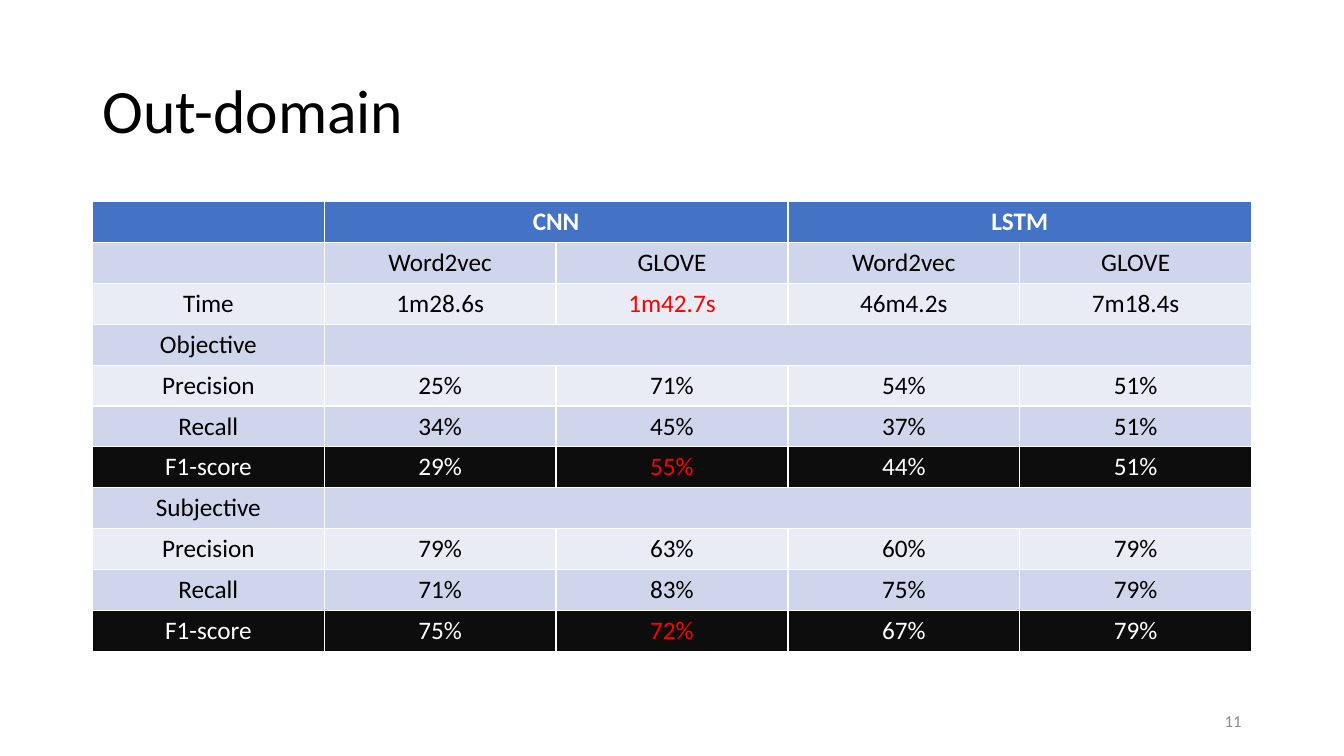
"""Build the out-domain results slide: CNN and LSTM scores by word embedding."""
from pptx import Presentation
from pptx.dml.color import RGBColor
from pptx.enum.text import MSO_ANCHOR, PP_ALIGN
from pptx.util import Cm, Pt

COLORS = {
    "header": "4472C4", "dark_band": "CFD5EA", "light_band": "E9EBF5", "score": "0D0D0D",
    "black": "000000", "white": "FFFFFF", "red": "FF0000", "gray": "8C8C8C",
}
ROWS = [
    ["", "CNN", "", "LSTM", ""],
    ["", "Word2vec", "GLOVE", "Word2vec", "GLOVE"],
    ["Time", "1m28.6s", "1m42.7s", "46m4.2s", "7m18.4s"],
    ["Objective", "", "", "", ""],
    ["Precision", "25%", "71%", "54%", "51%"],
    ["Recall", "34%", "45%", "37%", "51%"],
    ["F1-score", "29%", "55%", "44%", "51%"],
    ["Subjective", "", "", "", ""],
    ["Precision", "79%", "63%", "60%", "79%"],
    ["Recall", "71%", "83%", "75%", "79%"],
    ["F1-score", "75%", "72%", "67%", "79%"],
]
HIGHLIGHTS = [(2, 2), (6, 2), (10, 2)]
MERGES = [(0, 1, 2), (0, 3, 4), (3, 1, 4), (7, 1, 4)]


def write(tf, text, size, color, align, bold=False):
    tf.text = text
    p = tf.paragraphs[0]
    p.alignment = align
    for r in p.runs:
        r.font.name = "Calibri"
        r.font.size = Pt(size)
        r.font.bold = bold
        r.font.color.rgb = RGBColor.from_string(COLORS[color])


prs = Presentation()
prs.slide_width, prs.slide_height = Cm(33.87), Cm(19.05)
s = prs.slides.add_slide(prs.slide_layouts[5])

title = s.shapes.title
title.left, title.top, title.width, title.height = Cm(2.33), Cm(1.01), Cm(29.21), Cm(3.68)
write(title.text_frame, "Out-domain", 44, "black", PP_ALIGN.LEFT)
title.text_frame.vertical_anchor = MSO_ANCHOR.MIDDLE
title.text_frame.paragraphs[0].line_spacing = 0.9

table = s.shapes.add_table(len(ROWS), len(ROWS[0]), Cm(2.33), Cm(5.08),
                           Cm(29.21), Cm(11.33)).table
for i, row in enumerate(ROWS):
    if i == 0:
        fill, color = "header", "white"
    elif row[0] == "F1-score":
        fill, color = "score", "white"
    else:
        fill, color = "dark_band" if i % 2 else "light_band", "black"
    for j, text in enumerate(row):
        cell = table.cell(i, j)
        cell.fill.solid()
        cell.fill.fore_color.rgb = RGBColor.from_string(COLORS[fill])
        write(cell.text_frame, text, 18, "red" if (i, j) in HIGHLIGHTS else color,
              PP_ALIGN.CENTER, bold=i == 0)
for i, first, last in MERGES:
    table.cell(i, first).merge(table.cell(i, last))

number = s.shapes.add_textbox(Cm(23.92), Cm(17.66), Cm(7.62), Cm(1.01))
tf = number.text_frame
tf.word_wrap = True
tf.vertical_anchor = MSO_ANCHOR.MIDDLE
write(tf, "11", 12, "gray", PP_ALIGN.RIGHT)

prs.save("out.pptx")
